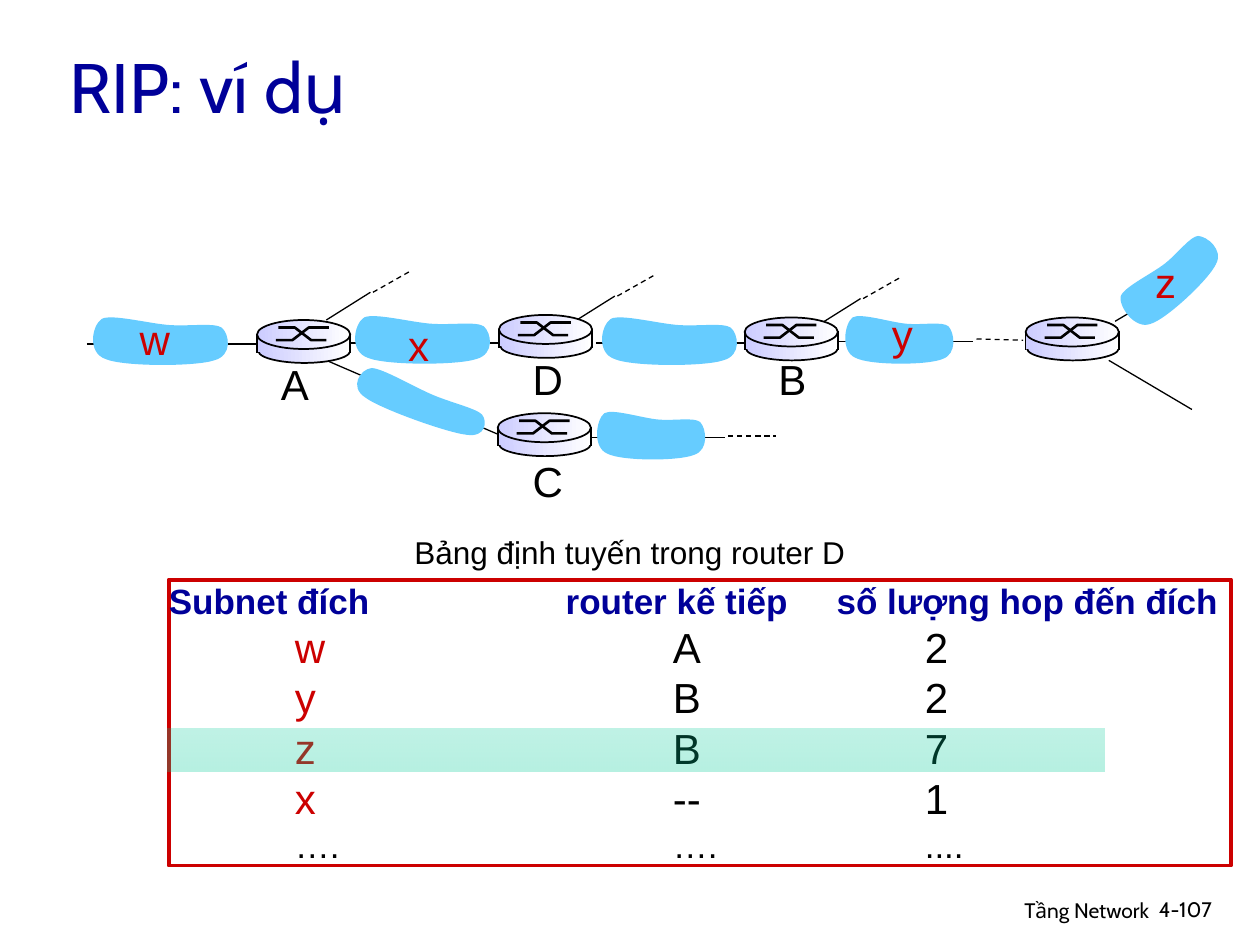
"""Build the RIP example slide: a router network above the routing table of router D."""
from pptx import Presentation
from pptx.dml.color import RGBColor
from pptx.enum.dml import MSO_LINE
from pptx.enum.shapes import MSO_CONNECTOR, MSO_SHAPE
from pptx.enum.text import MSO_ANCHOR, MSO_AUTO_SIZE as FIT, PP_ALIGN
from pptx.oxml.ns import qn
from pptx.oxml.xmlchemy import OxmlElement
from pptx.util import Inches, Pt

BLACK, RED, NAVY, SKY = "000000", "CC0000", "000099", "66CCFF"
SILVER = ("FFFFFF", "CCCCFF")

TITLE = "RIP: ví dụ"
CAPTION = ("Bảng định tuyến trong router D", 3.19, 4.18, 3.62, 0.4)
FOOTER = [
    ("Tầng Network", 6.05, 7.07, 3.17, 0.31, PP_ALIGN.RIGHT),
    ("4-107", 9.1, 7.07, 0.74, 0.3, PP_ALIGN.LEFT),
]
HEADER = ("Subnet đích", "router kế tiếp", "số lượng hop đến đích")
ROUTES = [("w", "A", "2"), ("y", "B", "2"), ("z", "B", "7"), ("x", "--", "1")]
MORE = ("….", "….", "....")
HEADER_TABS, ROUTE_TABS = (3.15, 5.3), (1, 4, 6)

ROUTERS = [(3.96, 2.5), (5.91, 2.52), (8.14, 2.52), (3.95, 3.28), (2.04, 2.54)]
LINKS = [
    (2.77, 2.72, 4.12, 2.72, 1), (4.73, 2.72, 6.09, 2.72, 1), (0.69, 2.73, 2.05, 2.73, 1),
    (6.65, 2.71, 7.72, 2.71, 0.75), (8.85, 2.55, 9.51, 2.16, 0.75),
    (8.8, 2.86, 9.46, 3.25, 0.75), (2.59, 2.86, 3.96, 3.45, 0.75),
    (4.68, 3.47, 5.75, 3.47, 0.75),
]
DASHED_LINKS = [(7.75, 2.69, 8.12, 2.7), (5.78, 3.46, 6.16, 3.46)]
STUB_STARTS = [(6.48, 2.59), (4.53, 2.57), (2.59, 2.54)]
SUBNETS = [
    (2.77, 2.48, 1.16, 0.42, 0), (2.76, 3.04, 1.16, 0.31, 19.7),
    (0.69, 2.49, 1.16, 0.42, 0), (4.73, 2.49, 1.16, 0.42, 0),
    (6.67, 2.48, 0.93, 0.42, 0), (8.81, 2.01, 0.95, 0.42, 316.8),
    (4.7, 3.24, 0.93, 0.42, 0),
]
LABELS = [
    ("w", 1.01, 2.44, 0.44, RED), ("x", 3.14, 2.49, 0.36, RED),
    ("y", 6.98, 2.4, 0.36, RED), ("z", 9.07, 1.99, 0.36, RED),
    ("A", 2.13, 2.8, 0.42, BLACK), ("C", 4.13, 3.57, 0.44, BLACK),
    ("D", 4.13, 2.76, 0.44, BLACK), ("B", 6.08, 2.76, 0.42, BLACK),
]
CLOUD_WIDTH, CLOUD_HEIGHT = 116, 42
CLOUD = [
    (66, 9), (50, 8), (20, 0), (12, 4), (4, 9), (0, 31), (15, 36), (29, 42),
    (86, 42), (101, 37), (116, 33), (113, 16), (107, 11), (101, 7), (82, 10), (66, 9),
]
DISC = [
    (MSO_SHAPE.OVAL, 0.01, 0.15, 0.73, 0.19, True),
    (MSO_SHAPE.RECTANGLE, 0, 0.13, 0.74, 0.12, False),
    (MSO_SHAPE.OVAL, 0, 0, 0.74, 0.23, True),
]
CROSS = [
    [(15, 16), (28, 16), (41, 6), (57, 6)],
    [(17, 6), (30, 6), (43, 16), (55, 16)],
]


def rgb(code):
    return RGBColor.from_string(code)


def set_line(shape, color=None, width=1):
    if color:
        shape.line.color.rgb = rgb(color)
        shape.line.width = Pt(width)
    else:
        shape.line.fill.background()


def add_run(paragraph, text, size, color, font="Arial", bold=False):
    run = paragraph.add_run()
    run.text = text
    run.font.size, run.font.name, run.font.bold = Pt(size), font, bold
    run.font.color.rgb = rgb(color)


def add_label(shapes, text, box, size, color, font="Arial", align=PP_ALIGN.LEFT, wrap=False):
    frame = shapes.add_textbox(*map(Inches, box)).text_frame
    frame.word_wrap = wrap
    frame.auto_size = FIT.NONE if wrap else FIT.SHAPE_TO_FIT_TEXT
    frame.paragraphs[0].alignment = align
    add_run(frame.paragraphs[0], text, size, color, font)


def add_link(shapes, x1, y1, x2, y2, width=0.75, dashed=False):
    link = shapes.add_connector(MSO_CONNECTOR.STRAIGHT, *map(Inches, (x1, y1, x2, y2)))
    set_line(link, BLACK, width)
    if dashed:
        link.line.dash_style = MSO_LINE.DASH
    link._element.spPr.append(OxmlElement("a:effectLst"))


def add_outline(shapes, points, left, top, scale, closed):
    builder = shapes.build_freeform(*points[0], scale=scale)
    builder.add_line_segments(points[1:], close=closed)
    outline = builder.convert_to_shape(Inches(left), Inches(top))
    outline.shadow.inherit = False
    return outline


def add_subnet(shapes, left, top, width, height, rotation):
    scale = (Inches(width) / CLOUD_WIDTH, Inches(height) / CLOUD_HEIGHT)
    subnet = add_outline(shapes, CLOUD, left, top, scale, True)
    outline = subnet._element.find(".//" + qn("a:path"))
    steps = outline.findall(qn("a:lnTo"))[:len(CLOUD) - 1]
    for i in range(0, len(steps), 3):
        curve = OxmlElement("a:cubicBezTo")
        steps[i].addprevious(curve)
        for step in steps[i:i + 3]:
            curve.append(step[0])
            outline.remove(step)
    subnet.fill.solid()
    subnet.fill.fore_color.rgb = rgb(SKY)
    set_line(subnet)
    subnet.rotation = rotation


def add_shaded(shapes, kind, box, colors, angle, opacities=()):
    shape = shapes.add_shape(kind, *map(Inches, box))
    shape.shadow.inherit = False
    shape.fill.gradient()
    shape.fill.gradient_angle = angle
    for stop, color in zip(shape.fill.gradient_stops, colors):
        stop.color.rgb = rgb(color)
    for color, opacity in zip(shape._element.spPr.iter(qn("a:srgbClr")), opacities):
        alpha = OxmlElement("a:alpha")
        alpha.set("val", str(opacity * 1000))
        color.append(alpha)
    set_line(shape)
    return shape


def add_router(slide, left, top):
    shapes = slide.shapes.add_group_shape().shapes
    for kind, x, y, width, height, lined in DISC:
        part = add_shaded(shapes, kind, (left + x, top + y, width, height), SILVER, 180)
        set_line(part, BLACK if lined else None)
    for points in CROSS:
        arm = add_outline(shapes, points, left, top, Inches(0.01), False)
        arm.fill.background()
        set_line(arm, BLACK, 1.5)
    for x in (left, left + 0.74):
        add_link(shapes, x, top + 0.11, x, top + 0.26, 1)


def add_routing_table(shapes):
    board = shapes.add_shape(MSO_SHAPE.RECTANGLE, *map(Inches, (1.34, 4.6, 8.43, 2.27)))
    board.shadow.inherit = False
    board.fill.background()
    set_line(board, RED, 2.25)
    frame = board.text_frame
    frame.word_wrap, frame.vertical_anchor = True, MSO_ANCHOR.TOP
    frame.margin_left = frame.margin_right = frame.margin_top = frame.margin_bottom = 0
    rows = [(HEADER, 20, (NAVY, NAVY), HEADER_TABS)]
    rows += [(route, 24, (RED, BLACK), ROUTE_TABS) for route in ROUTES]
    rows.append((MORE, 20, (BLACK, BLACK), ROUTE_TABS))
    for i, (cells, size, (first_color, color), tabs) in enumerate(rows):
        row = frame.add_paragraph() if i else frame.paragraphs[0]
        tab_list = OxmlElement("a:tabLst")
        for position in tabs:
            tab = OxmlElement("a:tab")
            tab.set("pos", str(Inches(position)))
            tab.set("algn", "l")
            tab_list.append(tab)
        row._p.get_or_add_pPr().append(tab_list)
        row.alignment, row.line_spacing = PP_ALIGN.LEFT, Pt(size * 1.2)
        lead = "\t" if i else ""
        add_run(row, lead + cells[0], size, first_color, bold=not i)
        add_run(row, "\t" + "\t".join(cells[1:]), size, color, bold=not i)


def main():
    deck = Presentation()
    deck.slide_width, deck.slide_height = Inches(10), Inches(7.5)
    slide = deck.slides.add_slide(deck.slide_layouts[5])
    shapes = slide.shapes

    title = shapes.title
    title.left, title.top, title.width, title.height = map(Inches, (0.45, 0.21, 4.31, 0.94))
    title.text_frame.vertical_anchor = MSO_ANCHOR.MIDDLE
    title.text_frame.auto_size = FIT.NONE
    title.text_frame.paragraphs[0].alignment = PP_ALIGN.LEFT
    add_run(title.text_frame.paragraphs[0], TITLE, 40, NAVY, "Cabin")

    for text, *box, align in FOOTER:
        add_label(shapes, text, box, 12, BLACK, "Cabin", align, True)
    add_routing_table(shapes)
    add_label(shapes, CAPTION[0], CAPTION[1:], 18, BLACK)

    for link in LINKS:
        add_link(shapes, *link)
    for link in DASHED_LINKS:
        add_link(shapes, *link, dashed=True)
    for x, y in STUB_STARTS:
        add_link(shapes, x, y, x + 0.35, y - 0.22)
        add_link(shapes, x + 0.37, y - 0.22, x + 0.67, y - 0.39, dashed=True)
    for subnet in SUBNETS:
        add_subnet(shapes, *subnet)
    for text, left, top, width, color in LABELS:
        add_label(shapes, text, (left, top, width, 0.5), 24, color)
    add_shaded(shapes, MSO_SHAPE.RECTANGLE, (1.33, 5.78, 7.44, 0.34),
               ("00CC99", "00CC99"), 90, (29, 25))
    for left, top in ROUTERS:
        add_router(slide, left, top)
    deck.save("out.pptx")


if __name__ == "__main__":
    main()
